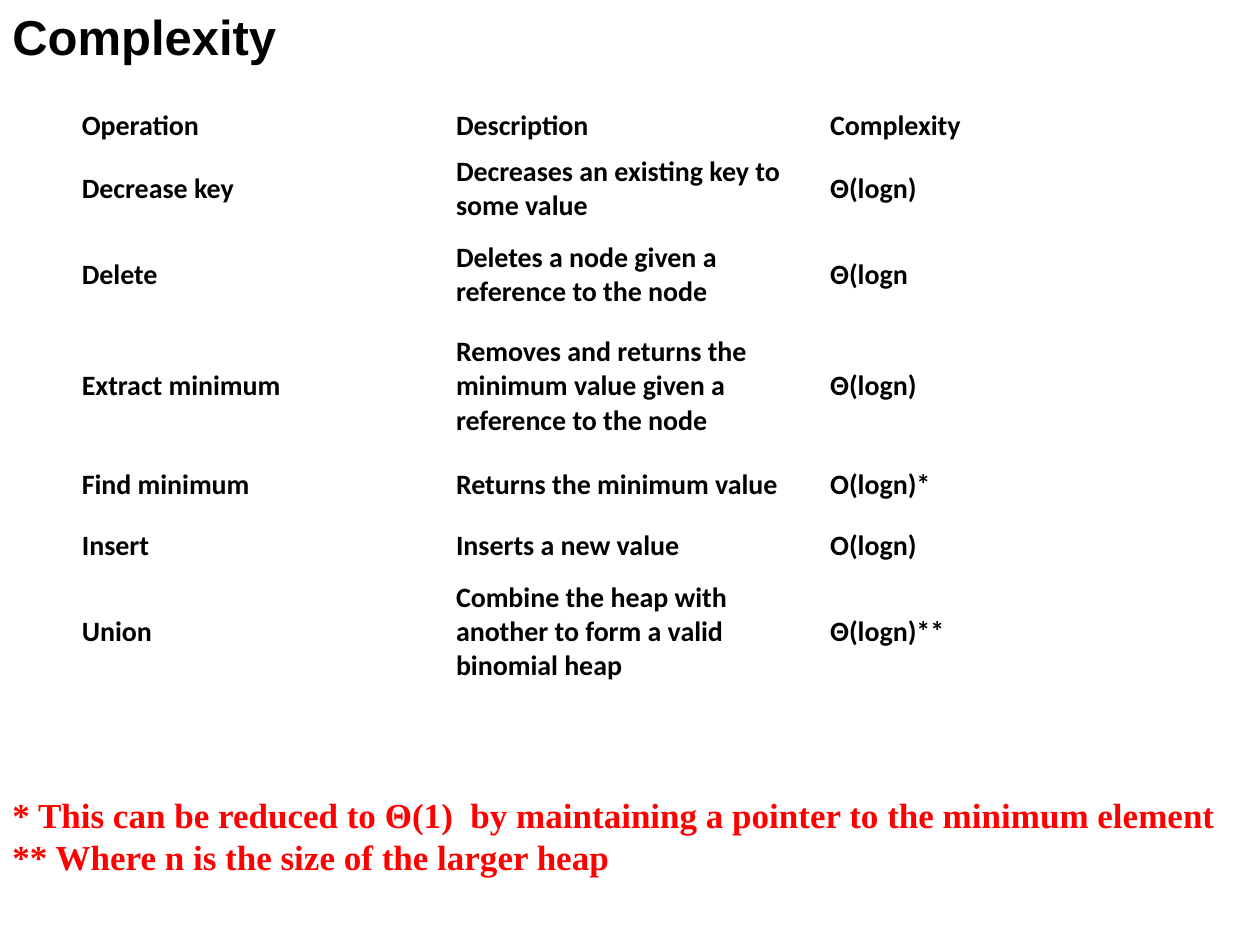
"""Build a slide that lists the complexity of binomial heap operations."""
from dataclasses import dataclass

import pptx
import pptx.dml.color
import pptx.enum.text
import pptx.util

Inches = pptx.util.Inches
Anchor = pptx.enum.text.MSO_ANCHOR


@dataclass(frozen=True)
class TextStyle:
    font: str
    size: int
    color: str


@dataclass(frozen=True)
class Operation:
    name: str
    description: str
    complexity: str
    height: float


TITLE = TextStyle("Arial", 28, "000000")
BODY = TextStyle("Calibri", 16, "000000")
FOOTNOTE = TextStyle("Times New Roman", 20, "FF0000")
COLUMN_WIDTH = 2.97

OPERATIONS = [
    Operation("Operation", "Description", "Complexity", 0.27),
    Operation("Decrease key", "Decreases an existing key to some value", "Θ(logn)", 0.68),
    Operation("Delete", "Deletes a node given a reference to the node", "Θ(logn", 0.68),
    Operation("Extract minimum", "Removes and returns the minimum value given a reference to the node",
              "Θ(logn)", 1.09),
    Operation("Find minimum", "Returns the minimum value", "O(logn)*", 0.48),
    Operation("Insert", "Inserts a new value", "O(logn)", 0.48),
    Operation("Union", "Combine the heap with another to form a valid binomial heap",
              "Θ(logn)**", 0.89),
]


def rgb(color: str) -> pptx.dml.color.RGBColor:
    return pptx.dml.color.RGBColor.from_string(color)


def write_lines(frame, lines: list[str], style: TextStyle) -> None:
    para = frame.paragraphs[0]
    for index, line in enumerate(lines):
        if index:
            para.add_line_break()
        span = para.add_run()
        span.text = line
        span.font.name = style.font
        span.font.size = pptx.util.Pt(style.size)
        span.font.bold = True
        span.font.color.rgb = rgb(style.color)


def add_text(page, top: float, width: float, height: float,
             lines: list[str], style: TextStyle, wrap: bool, anchor: Anchor) -> None:
    box = page.shapes.add_textbox(0, Inches(top), Inches(width), Inches(height))
    frame = box.text_frame
    frame.word_wrap = wrap
    frame.auto_size = pptx.enum.text.MSO_AUTO_SIZE.SHAPE_TO_FIT_TEXT
    frame.vertical_anchor = anchor
    write_lines(frame, lines, style)


def add_operations(page, operations: list[Operation]) -> None:
    height = sum(operation.height for operation in operations)
    table = page.shapes.add_table(len(operations), 3, Inches(0.58), Inches(0.83),
                                  Inches(3 * COLUMN_WIDTH), Inches(height)).table
    table.first_row = False
    table.horz_banding = False
    for column in table.columns:
        column.width = Inches(COLUMN_WIDTH)
    for row, operation in zip(table.rows, operations):
        row.height = Inches(operation.height)
        texts = (operation.name, operation.description, operation.complexity)
        for cell, text in zip(row.cells, texts):
            cell.fill.background()
            cell.vertical_anchor = Anchor.MIDDLE
            cell.margin_left = cell.margin_right = Inches(0.07)
            cell.margin_top = cell.margin_bottom = Inches(0.03)
            write_lines(cell.text_frame, [text], BODY)


def main() -> None:
    deck = pptx.Presentation()
    deck.slide_width, deck.slide_height = Inches(10), Inches(7.5)
    page = deck.slides.add_slide(deck.slide_layouts[6])
    add_operations(page, OPERATIONS)
    add_text(page, 6.25, 9.81, 0.77, [
        "* This can be reduced to Θ(1)  by maintaining a pointer to the minimum element",
        "** Where n is the size of the larger heap",
    ], FOOTNOTE, False, Anchor.MIDDLE)
    add_text(page, 0, 4.08, 0.57, ["Complexity"], TITLE, True, Anchor.TOP)
    deck.save("out.pptx")


if __name__ == "__main__":
    main()
